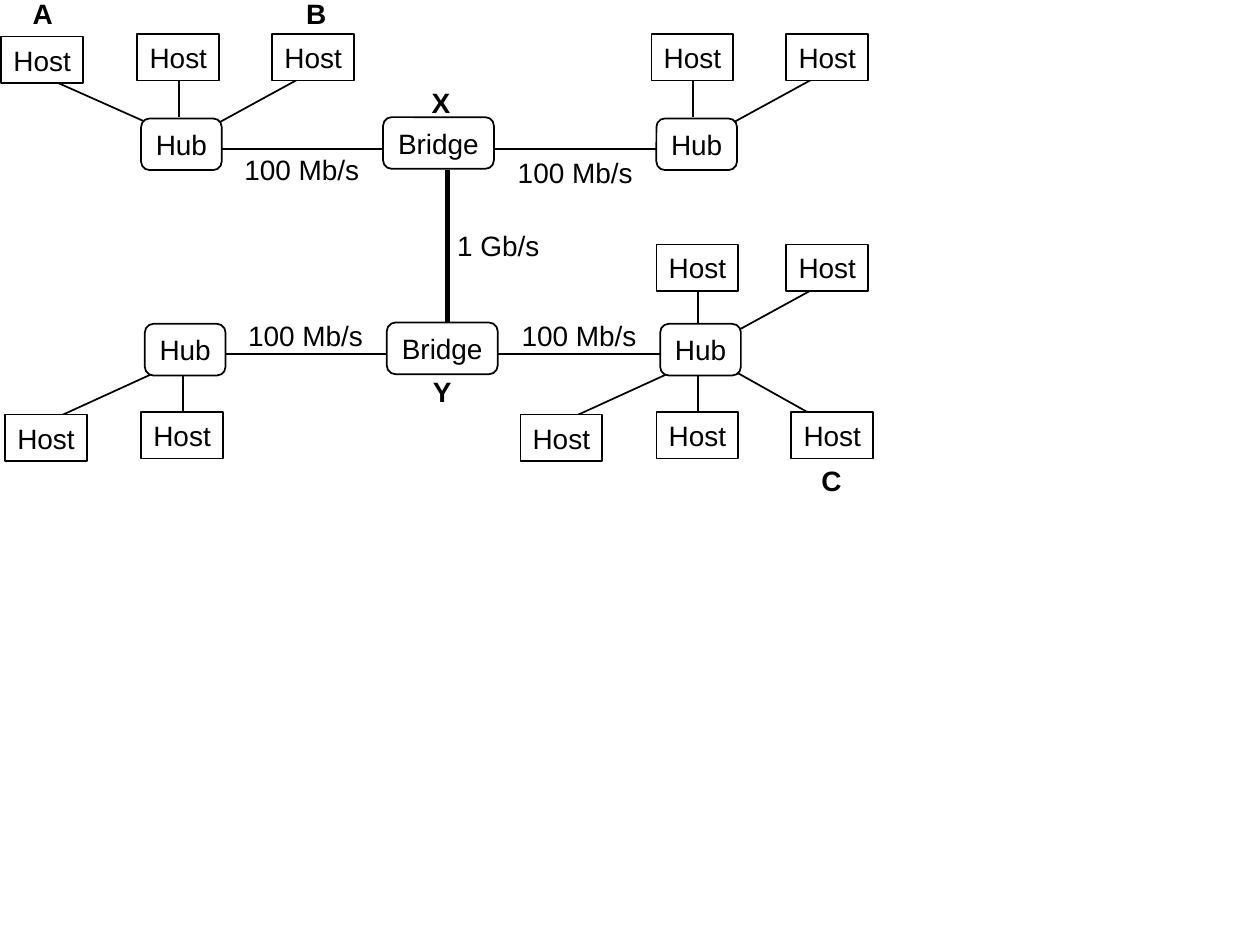
from dataclasses import dataclass

from lxml import etree
from pptx import Presentation
from pptx import util as u
from pptx.dml.color import RGBColor
from pptx.enum import shapes, text
from pptx.oxml.ns import qn


@dataclass(frozen=True)
class Theme:
    ink: RGBColor = RGBColor(0, 0, 0)
    paper: RGBColor = RGBColor(255, 255, 255)
    font: str = "Arial"
    size: int = 16
    thin: float = 1
    thick: float = 3
    corner: float = 0.167
    columns: float = 10
    rows: float = 7.5


def write(frame, words, theme, bold=False, inset=0.1):
    frame.word_wrap = False
    frame.auto_size = text.MSO_AUTO_SIZE.NONE
    frame.vertical_anchor = text.MSO_ANCHOR.MIDDLE
    frame.margin_left = frame.margin_right = u.Inches(inset)
    paragraph = frame.paragraphs[0]
    paragraph.alignment = text.PP_ALIGN.CENTER
    run = paragraph.add_run()
    run.text = words
    run.font.name = theme.font
    run.font.size = u.Pt(theme.size)
    run.font.bold = bold
    run.font.color.rgb = theme.ink


class Diagram:
    def __init__(self, deck, theme):
        self.theme = theme
        self.slide = deck.slides.add_slide(deck.slide_layouts[6])
        self.column = deck.slide_width / theme.columns
        self.row = deck.slide_height / theme.rows

    def place(self, *lengths):
        units = (self.column, self.row) * 2
        return [u.Emu(round(n * unit)) for n, unit in zip(lengths, units)]

    def link(self, start, end, weight=None):
        line = self.slide.shapes.add_connector(
            shapes.MSO_CONNECTOR.STRAIGHT, *self.place(*start, *end))
        line.line.color.rgb = self.theme.ink
        line.line.width = u.Pt(weight or self.theme.thin)
        etree.SubElement(line._element.spPr, qn("a:effectLst"))

    def node(self, words, x, y, width, height, rounded=False):
        kind = shapes.MSO_SHAPE.ROUNDED_RECTANGLE if rounded else shapes.MSO_SHAPE.RECTANGLE
        box = self.slide.shapes.add_shape(kind, *self.place(x, y, width, height))
        if rounded:
            box.adjustments[0] = self.theme.corner
        box.shadow.inherit = False
        box.fill.solid()
        box.fill.fore_color.rgb = self.theme.paper
        box.line.color.rgb = self.theme.ink
        box.line.width = u.Pt(self.theme.thin)
        write(box.text_frame, words, self.theme, inset=0.04)

    def label(self, words, x, y, width, bold=False):
        box = self.slide.shapes.add_textbox(*self.place(x, y, width, 0.37))
        write(box.text_frame, words, self.theme, bold=bold)

    def hosts(self, x, y, slots, spokes):
        for slot in slots:
            start, end = spokes[slot]
            self.link((x + start[0], y + start[1]), (x + end[0], y + end[1]))
        for slot in slots:
            left, top = HOST_SLOTS[slot]
            self.node("Host", x + left, y + top, 0.65, 0.37)


HOST_SLOTS = [(0.01, 0.29), (1.09, 0.27), (2.16, 0.27)]
DOWN_TO_HUB = [((0.33, 0.6), (1.25, 1.01)),
               ((1.42, 0.6), (1.42, 0.93)),
               ((2.42, 0.6), (1.67, 1.01))]
UP_TO_HUB = [((0.34, 0.35), (1.26, -0.07)),
             ((1.42, 0.26), (1.42, -0.07)),
             ((2.43, 0.35), (1.68, -0.07))]
HOST_GROUPS = [(0, 0, (0, 1, 2), DOWN_TO_HUB),
               (4.08, 0, (1, 2), DOWN_TO_HUB),
               (4.12, 1.67, (1,), DOWN_TO_HUB),
               (4.08, 1.67, (2,), DOWN_TO_HUB),
               (0.03, 3, (0, 1), UP_TO_HUB),
               (4.12, 3, (0, 1, 2), UP_TO_HUB)]
SEGMENTS = [(0, 0.94, 1.18), (0.03, 2.57, 2.81)]
SPEEDS = [("100 Mb/s", 1.84, 1.16, 1.11), ("100 Mb/s", 4.01, 1.18, 1.11),
          ("100 Mb/s", 1.87, 2.48, 1.11), ("100 Mb/s", 4.04, 2.48, 1.11),
          ("1 Gb/s", 3.53, 1.76, 0.85)]
NAMES = [("A", 0.16, -0.08), ("B", 2.33, -0.08), ("C", 6.42, 3.63),
         ("X", 3.32, 0.63), ("Y", 3.33, 2.92)]


def main():
    theme = Theme()
    deck = Presentation()
    deck.slide_width = u.Inches(theme.columns)
    deck.slide_height = u.Inches(theme.rows)
    network = Diagram(deck, theme)

    for group in HOST_GROUPS:
        network.hosts(*group)
    network.link((3.55, 1.35), (3.55, 2.6), theme.thick)
    for x, top, cable in SEGMENTS:
        network.link((x + 1.72, cable), (x + 3.14, cable))
        network.link((x + 3.89, cable), (x + 5.3, cable))
        for hub in (1.12, 5.21):
            network.node("Hub", x + hub, top, 0.64, 0.41, rounded=True)
        network.node("Bridge", x + 3.04, top - 0.01, 0.88, 0.41, rounded=True)
    for speed in SPEEDS:
        network.label(*speed)
    for name, x, y in NAMES:
        network.label(name, x, y, 0.36, bold=True)

    deck.save("out.pptx")


if __name__ == "__main__":
    main()
